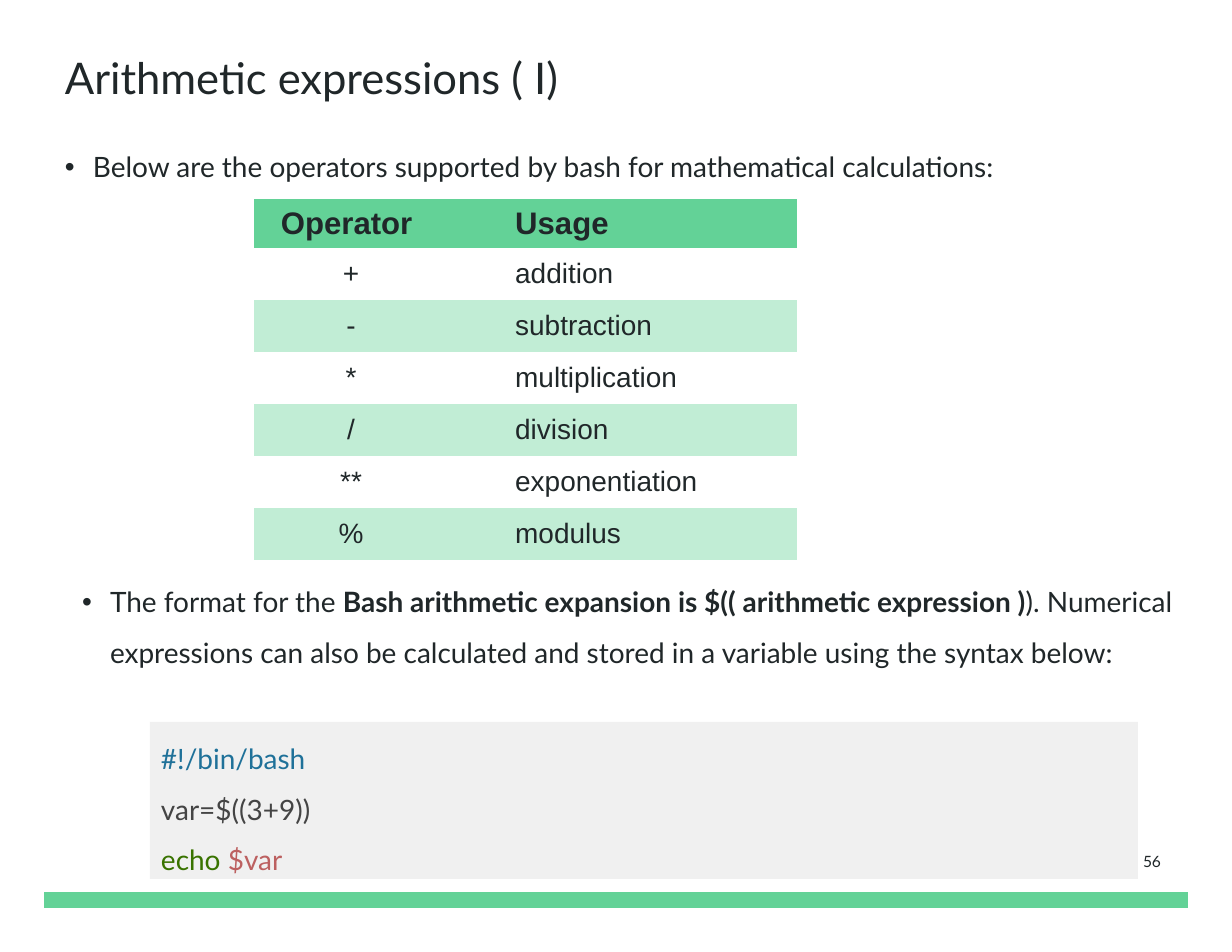
import pptx
import pptx.chart.data
import pptx.dml.color
import pptx.enum.shapes
import pptx.enum.text
import pptx.oxml
import pptx.oxml.ns
import pptx.util

PX = 914400 // 112
COLORS = {
    "ink": "202729",
    "green": "63D297",
    "mint": "C1EDD5",
    "panel": "F0F0F0",
    "shebang": "1F7199",
    "code": "444444",
    "command": "397300",
    "variable": "BC6060",
}
ALIGN = pptx.enum.text.PP_ALIGN
MIDDLE = pptx.enum.text.MSO_ANCHOR.MIDDLE
RECT = pptx.enum.shapes.MSO_SHAPE.RECTANGLE


def rgb(name):
    return pptx.dml.color.RGBColor.from_string(COLORS[name])


def add_run(p, text, size=18, color="ink", **extra):
    r = p.add_run()
    r.text = text
    fmt = {"name": "Lato", "size": pptx.util.Pt(size), "bold": False, **extra}
    for key, value in fmt.items():
        setattr(r.font, key, value)
    r.font.color.rgb = rgb(color)


prs = pptx.Presentation()
prs.slide_width = 1232 * PX
prs.slide_height = 952 * PX
s = prs.slides.add_slide(prs.slide_layouts[6])

rects = []
for box, fill in [((44, 892, 1144, 16), "green"), ((150, 722, 988, 157), "panel")]:
    sp = s.shapes.add_shape(RECT, *[v * PX for v in box])
    sp.shadow.inherit = False
    sp.fill.solid()
    sp.fill.fore_color.rgb = rgb(fill)
    sp.line.fill.background()
    rects.append(sp)

code_lines = [
    [("#!/bin/bash", "shebang")],
    [("var=$((3+9))", "code")],
    [("echo ", "command"), ("$var", "variable")],
]
tf = rects[1].text_frame
tf.word_wrap = True
tf.vertical_anchor = MIDDLE
for i, line in enumerate(code_lines):
    p = tf.add_paragraph() if i else tf.paragraphs[0]
    p.alignment = ALIGN.LEFT
    p.line_spacing = 1.5
    for text, color in line:
        add_run(p, text, color=color)

title = {"vertical_anchor": MIDDLE}
number = {"vertical_anchor": MIDDLE}
texts = [
    ((65, 31, 1120, 99), 0, title, {"line_spacing": 0.9}, False,
     [("Arithmetic expressions ( I)", 28, False)]),
    ((65, 133, 1129, 66), 0, {}, {"line_spacing": 1.5}, True,
     [("Below are the operators supported by bash for mathematical calculations:", 18, False)]),
    ((82, 568, 1129, 153), 0, {}, {"line_spacing": 1.5}, True,
     [("The format for the ", 18, False),
      ("Bash arithmetic expansion is $(( arithmetic expression )", 18, True),
      ("). Numerical expressions can also be calculated and stored in a variable"
       " using the syntax below:", 18, False)]),
    ((1104, 828, 68, 66), 11, number, {"alignment": ALIGN.RIGHT}, False, [("56", 10, False)]),
]
for box, inset, frame_fmt, para_fmt, bullet, runs in texts:
    tf = s.shapes.add_textbox(*[v * PX for v in box]).text_frame
    tf.word_wrap = True
    for side in ("left", "top", "right", "bottom"):
        setattr(tf, f"margin_{side}", inset * PX)
    for key, value in frame_fmt.items():
        setattr(tf, key, value)
    p = tf.paragraphs[0]
    for key, value in para_fmt.items():
        setattr(p, key, value)
    if bullet:
        pPr = p._p.get_or_add_pPr()
        pPr.set("marL", str(28 * PX))
        pPr.set("indent", str(-28 * PX))
        ns = pptx.oxml.ns.nsdecls("a")
        pPr.append(pptx.oxml.parse_xml(f'<a:buFont {ns} typeface="Arial"/>'))
        pPr.append(pptx.oxml.parse_xml(f'<a:buChar {ns} char="•"/>'))
    for text, size, bold in runs:
        add_run(p, text, size, bold=bold)

rows = [
    ("Operator ", "Usage"),
    ("+", "addition"),
    ("-", "subtraction"),
    ("*", "multiplication"),
    ("/", "division"),
    ("**", "exponentiation"),
    ("%", "modulus"),
]
frame = s.shapes.add_table(len(rows), 2, 254 * PX, 199 * PX, 543 * PX, 358 * PX)
table = frame.table
style = next(frame._element.iter(pptx.oxml.ns.qn("a:tableStyleId")))
style.text = "{2D5ABB26-0587-4C30-8999-92F81FD0307C}"
for key, value in {"first_row": True, "horz_banding": False}.items():
    setattr(table, key, value)
for col, width in zip(table.columns, (194, 349)):
    col.width = width * PX
for i, row in enumerate(rows):
    header = i == 0
    table.rows[i].height = (46 if header else 52) * PX
    for j, text in enumerate(row):
        cell = table.cell(i, j)
        cell.vertical_anchor = MIDDLE
        if i % 2:
            cell.fill.background()
        else:
            cell.fill.solid()
            cell.fill.fore_color.rgb = rgb("green" if header else "mint")
        p = cell.text_frame.paragraphs[0]
        if j == 0:
            p.alignment = ALIGN.CENTER
        else:
            p.level = 1
            p._p.get_or_add_pPr().set("marL", str(56 * PX))
        add_run(p, text, 20 if header else 18, name="Arial", bold=header)

prs.save("out.pptx")
